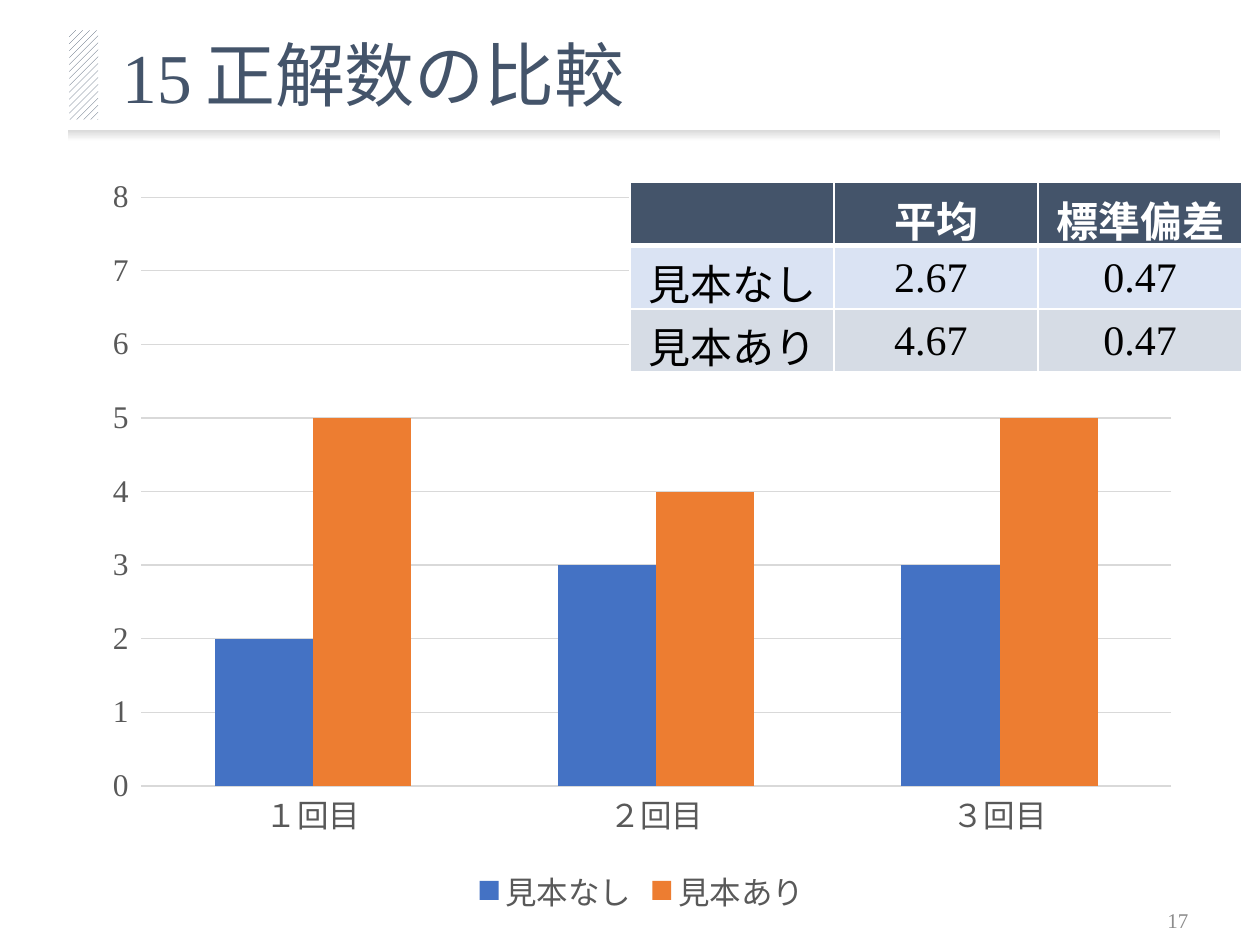
import pptx
import pptx.chart.data
import pptx.dml.color
import pptx.enum.chart
import pptx.enum.dml
import pptx.enum.shapes
import pptx.enum.text
import pptx.oxml
import pptx.oxml.ns
import pptx.util
from pptx.util import Inches, Pt

RGBColor = pptx.dml.color.RGBColor
NAVY = RGBColor(0x44, 0x54, 0x6A)
WHITE = RGBColor(0xFF, 0xFF, 0xFF)
BLACK = RGBColor(0x00, 0x00, 0x00)
LIGHT_GRAY = RGBColor(0xD9, 0xD9, 0xD9)
TEXT_GRAY = RGBColor(0x59, 0x59, 0x59)
NUMBER_GRAY = RGBColor(0x8C, 0x8C, 0x8C)
PALE_BLUE = RGBColor(0xDA, 0xE3, 0xF3)
PALE_GRAY = RGBColor(0xD6, 0xDC, 0xE5)
BLUE = RGBColor(0x44, 0x72, 0xC4)
ORANGE = RGBColor(0xED, 0x7D, 0x31)
SERIF = "Times New Roman"
ALIGN = pptx.enum.text.PP_ALIGN
MIDDLE = pptx.enum.text.MSO_ANCHOR.MIDDLE
RECT = pptx.enum.shapes.MSO_SHAPE.RECTANGLE


def set_font(font, size, color, name=SERIF, bold=False):
    font.size, font.name, font.bold = Pt(size), name, bold
    font.color.rgb = color


def add_text(text, left, top, width, height, size, color, name=SERIF):
    tb = s.shapes.add_textbox(Inches(left), Inches(top), Inches(width), Inches(height))
    p = tb.text_frame.paragraphs[0]
    p.text = text
    set_font(p.font, size, color, name)
    return tb.text_frame


prs = pptx.Presentation()
prs.slide_width, prs.slide_height = Inches(10), Inches(7.5)
s = prs.slides.add_slide(prs.slide_layouts[6])

# Slide number
tf = add_text("17", 7.28, 7.1, 2.25, 0.4, 12, NUMBER_GRAY)
tf.word_wrap = True
tf.vertical_anchor = MIDDLE
tf.paragraphs[0].alignment = ALIGN.RIGHT

# Title with hatched marker and shaded rule
marker = s.shapes.add_shape(RECT, Inches(0.55), Inches(0.24), Inches(0.23), Inches(0.71))
marker.fill.patterned()
marker.fill.pattern = pptx.enum.dml.MSO_PATTERN.WIDE_UPWARD_DIAGONAL
marker.fill.fore_color.rgb = NAVY
marker.fill.back_color.rgb = WHITE

rule = s.shapes.add_shape(RECT, Inches(0.54), Inches(1.03), Inches(9.14), Inches(0.09))
rule.rotation = 180
rule.fill.gradient()
rule.fill.gradient_angle = 90
for stop, color in zip(rule.fill.gradient_stops, (LIGHT_GRAY, WHITE)):
    stop.color.rgb = color
for sp in (marker, rule):
    sp.shadow.inherit = False
    sp.line.fill.background()

for text, left, width, name in (("15", 0.87, 0.76, SERIF),
                                ("正解数の比較", 1.53, 3.57, "DejaVu Sans")):
    top = 0.22 if name == SERIF else 0.2
    tf = add_text(text, left, top, width, 0.77, 40, NAVY, name)
    tf.word_wrap = False
    tf.auto_size = pptx.enum.text.MSO_AUTO_SIZE.SHAPE_TO_FIT_TEXT

# Chart of correct answers per trial
data = pptx.chart.data.CategoryChartData(number_format=r"0_);[Red]\(0\)")
data.categories = ["１回目", "２回目", "３回目"]
data.add_series("見本なし", (2, 3, 3))
data.add_series("見本あり", (5, 4, 5))
chart = s.shapes.add_chart(
    pptx.enum.chart.XL_CHART_TYPE.COLUMN_CLUSTERED,
    Inches(0.72), Inches(1.31), Inches(8.75), Inches(5.99), data).chart
set_font(chart.font, 10, BLACK)
chart.has_title = False
chart.has_legend = True
chart.legend.position = pptx.enum.chart.XL_LEGEND_POSITION.BOTTOM
chart.legend.include_in_layout = False
set_font(chart.legend.font, 18, TEXT_GRAY)

plot = chart.plots[0]
plot.gap_width, plot.overlap = 150, 0
plot.vary_by_categories = False
for series, color in zip(plot.series, (BLUE, ORANGE)):
    series.format.fill.solid()
    series.format.fill.fore_color.rgb = color

value_axis = chart.value_axis
value_axis.minimum_scale, value_axis.maximum_scale = 0, 8
value_axis.major_unit = 1
for axis in (chart.category_axis, value_axis):
    set_font(axis.tick_labels.font, 18, TEXT_GRAY)
    axis.major_tick_mark = pptx.enum.chart.XL_TICK_MARK.NONE
    axis.minor_tick_mark = pptx.enum.chart.XL_TICK_MARK.NONE
value_axis.has_major_gridlines = True
for line in (chart.category_axis.format.line, value_axis.major_gridlines.format.line):
    line.color.rgb = LIGHT_GRAY
    line.width = Pt(0.75)
value_axis.format.line.fill.background()

# Table of means and standard deviations
rows = [("", "平均", "標準偏差"),
        ("見本なし", "2.67 ", "0.47"),
        ("見本あり", "4.67 ", "0.47")]
table = s.shapes.add_table(3, 3, Inches(5), Inches(1.45), Inches(4.87), Inches(1.5)).table
for column in table.columns:
    column.width = Inches(1.62)
for i, (row, fill) in enumerate(zip(rows, (NAVY, PALE_BLUE, PALE_GRAY))):
    for j, text in enumerate(row):
        cell = table.cell(i, j)
        cell.vertical_anchor = MIDDLE
        if i and j:
            cell.margin_left = cell.margin_right = cell.margin_top = Inches(0.01)
            cell.margin_bottom = 0
        p = cell.text_frame.paragraphs[0]
        p.text = text
        p.alignment = ALIGN.CENTER
        set_font(p.font, 24, BLACK if i else WHITE, bold=i == 0)
        for side in "LRTB":
            thick = (i == 0 and side == "B") or (i == 1 and side == "T")
            cell._tc.get_or_add_tcPr().append(pptx.oxml.parse_xml(
                f'<a:ln{side} {pptx.oxml.ns.nsdecls("a")} w="{Pt(3 if thick else 1)}">'
                f'<a:solidFill><a:srgbClr val="{WHITE}"/></a:solidFill></a:ln{side}>'))
        cell.fill.solid()
        cell.fill.fore_color.rgb = fill

prs.save("out.pptx")
